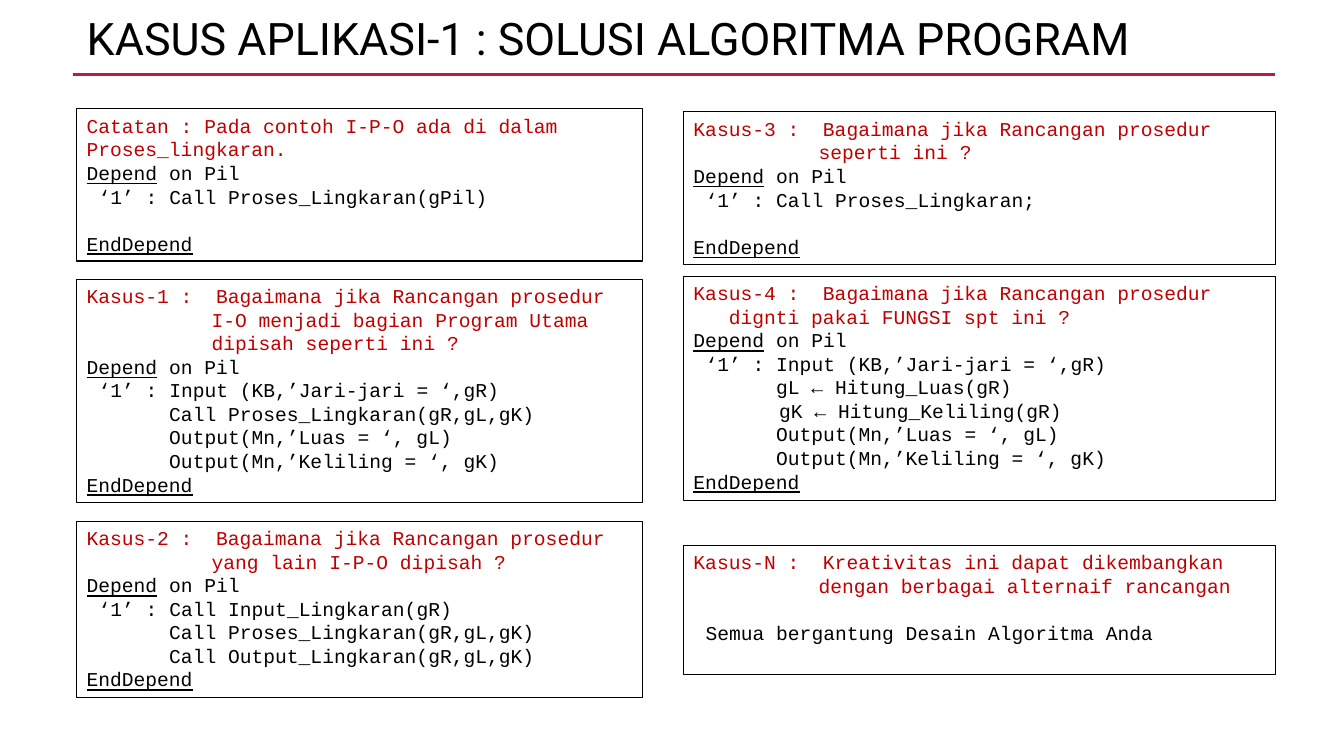
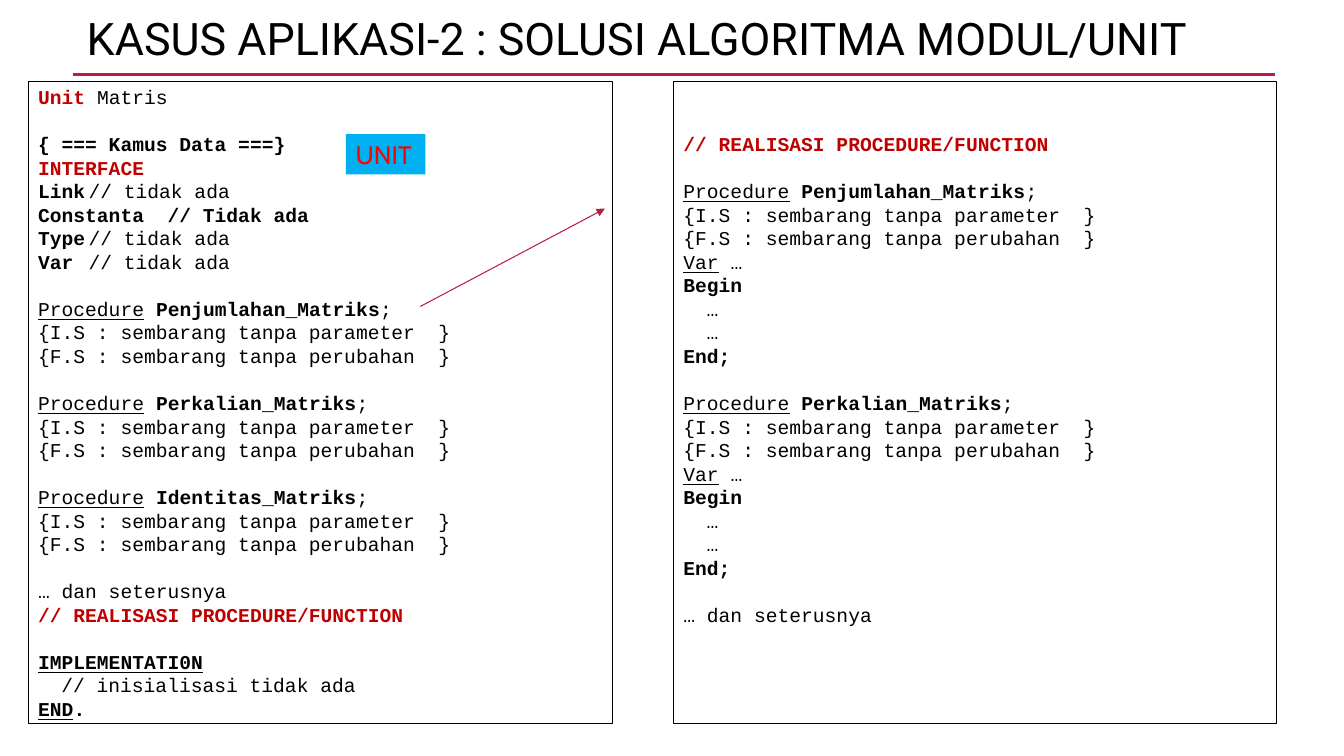
from dataclasses import dataclass
from typing import Optional

from pptx import Presentation
from pptx import util as u
from pptx.dml.color import RGBColor
from pptx.enum import shapes, text
from pptx.oxml.ns import qn
from lxml import etree

# Shared look
PX = 9144  # EMU per px, 100 px to the inch
BLACK = RGBColor(0x00, 0x00, 0x00)
WHITE = RGBColor(0xFF, 0xFF, 0xFF)
CRIMSON = RGBColor(0xB7, 0x1E, 0x42)
RED = RGBColor(0xC0, 0x00, 0x00)
BRIGHT_RED = RGBColor(0xFF, 0x00, 0x00)
SKY = RGBColor(0x00, 0xB0, 0xF0)
TITLE_FONT, CODE_FONT, LABEL_FONT = "Roboto", "Courier New", "Cabin"
CODE_SIZE = u.Pt(14)
LEADING = u.Pt(16.8)

# Code indents
CASE_MARK, BRANCH, BODY, COMMENT_TAB = 12, 82, 23, 123


@dataclass(frozen=True)
class Run:
    text: str
    style: str = ""  # b bold, u underlined, r red


@dataclass(frozen=True)
class Line:
    runs: tuple[Run, ...]
    indent: int = 0
    hang: int = 0
    tab: int = 0
    gap: int = 0  # empty line heights above


@dataclass(frozen=True)
class Box:
    left: int
    top: int
    width: int
    height: int
    lines: tuple[Line, ...]
    border: float = 0.75
    fill: Optional[RGBColor] = None
    middle: bool = False
    lift: int = 0  # line heights kept free at the bottom


def px(n: int) -> u.Emu:
    return u.Emu(n * PX)


def line(txt: str, style: str = "", **layout: int) -> Line:
    return Line((Run(txt, style),), **layout)


# Drawing
def set_font(r, name: str, size: u.Length, color: RGBColor) -> None:
    r.font.name, r.font.size = name, size
    r.font.color.rgb = color


def add_rect(s, left: int, top: int, width: int, height: int,
             fill: Optional[RGBColor], border: float):
    sp = s.shapes.add_shape(shapes.MSO_SHAPE.RECTANGLE,
                            px(left), px(top), px(width), px(height))
    sp.shadow.inherit = False
    if fill is None:
        sp.fill.background()
    else:
        sp.fill.solid()
        sp.fill.fore_color.rgb = fill
    if border:
        sp.line.color.rgb = BLACK
        sp.line.width = u.Pt(border)
    else:
        sp.line.fill.background()
    return sp


def add_line(s, x1: int, y1: int, x2: int, y2: int, width: float,
             arrow: bool = False):
    cx = s.shapes.add_connector(shapes.MSO_CONNECTOR.STRAIGHT,
                                px(x1), px(y1), px(x2), px(y2))
    cx.line.color.rgb = CRIMSON
    cx.line.width = u.Pt(width)
    if arrow:
        etree.SubElement(cx.line._get_or_add_ln(), qn("a:tailEnd"), type="triangle")
    etree.SubElement(cx.element.spPr, qn("a:effectLst"))
    return cx


def write_line(p, item: Line) -> None:
    p.alignment = text.PP_ALIGN.LEFT
    p.line_spacing = LEADING
    p.space_before = u.Emu(LEADING * item.gap)
    pPr = p._p.get_or_add_pPr()
    pPr.set("marL", str(px(item.indent + item.hang)))
    pPr.set("indent", str(px(-item.hang)))
    if item.tab:
        tabs = etree.SubElement(pPr, qn("a:tabLst"))
        etree.SubElement(tabs, qn("a:tab"), pos=str(px(item.tab)), algn="l")
    for run in item.runs:
        for i, part in enumerate(run.text.split("\n")):
            if i:
                p.add_line_break()
            r = p.add_run()
            r.text = part
            set_font(r, CODE_FONT, CODE_SIZE, RED if "r" in run.style else BLACK)
            r.font.bold = "b" in run.style
            r.font.underline = "u" in run.style


def add_box(s, box: Box) -> None:
    sp = add_rect(s, box.left, box.top, box.width, box.height, box.fill, box.border)
    tf = sp.text_frame
    tf.word_wrap = True
    tf.vertical_anchor = text.MSO_ANCHOR.TOP
    if box.middle:
        tf.vertical_anchor = text.MSO_ANCHOR.MIDDLE
        tf.margin_top = 0
        tf.margin_bottom = u.Emu(LEADING * box.lift)
    for i, item in enumerate(box.lines):
        write_line(tf.add_paragraph() if i else tf.paragraphs[0], item)


def add_slide(prs, title: str):
    s = prs.slides.add_slide(prs.slide_layouts[5])
    sp = s.shapes.title
    sp.left, sp.top, sp.width, sp.height = px(76), px(12), px(1189), px(69)
    tf = sp.text_frame
    tf.word_wrap = True
    tf.auto_size = text.MSO_AUTO_SIZE.NONE
    tf.vertical_anchor = text.MSO_ANCHOR.TOP
    p = tf.paragraphs[0]
    p.alignment = text.PP_ALIGN.LEFT
    p.line_spacing = 0.9
    r = p.add_run()
    r.text = title
    set_font(r, TITLE_FONT, u.Pt(32), BLACK)
    add_line(s, 72, 74, 1265, 74, 2.5)
    return s


# Slide 1: cases
def case(question: str, *calls: Line, hang: int = 124, gap: int = 0) -> tuple[Line, ...]:
    return (line(question, "r", hang=hang),
            Line((Run("Depend", "u"), Run(" on Pil"))),
            *calls,
            line("EndDepend", "u", gap=gap))


def first(call: str) -> Line:
    return line("‘1’ : " + call, indent=CASE_MARK)


def then(call: str, indent: int = BRANCH) -> Line:
    return line(call, indent=indent)


INPUT = first("Input (KB,’Jari-jari = ‘,gR)")
OUTPUTS = (then("Output(Mn,’Luas = ‘, gL)"), then("Output(Mn,’Keliling = ‘, gK)"))
PROSES = then("Call Proses_Lingkaran(gR,gL,gK)")
LEFT, RIGHT = (76, 561), (678, 587)  # column left and width


def case_box(column: tuple[int, int], top: int, height: int,
             lines: tuple[Line, ...], border: float = 0.75) -> Box:
    return Box(column[0], top, column[1], height, lines, border)


CASES = (
    case_box(LEFT, 108, 151, case(
        "Catatan : Pada contoh I-P-O ada di dalam Proses_lingkaran.",
        first("Call Proses_Lingkaran(gPil)"), hang=0, gap=1)),
    case_box(LEFT, 277, 222, case(
        "Kasus-1 :  Bagaimana jika Rancangan prosedur\n"
        "I-O menjadi bagian Program Utama\ndipisah seperti ini ?",
        INPUT, PROSES, *OUTPUTS)),
    case_box(LEFT, 517, 175, case(
        "Kasus-2 :  Bagaimana jika Rancangan prosedur\nyang lain I-P-O dipisah ?",
        first("Call Input_Lingkaran(gR)"), PROSES,
        then("Call Output_Lingkaran(gR,gL,gK)"))),
    case_box(RIGHT, 111, 151, case(
        "Kasus-3 :  Bagaimana jika Rancangan prosedur\nseperti ini ?",
        first("Call Proses_Lingkaran;"), gap=1)),
    case_box(RIGHT, 274, 222, case(
        "Kasus-4 :  Bagaimana jika Rancangan prosedur\ndignti pakai FUNGSI spt ini ?",
        INPUT, then("gL ← Hitung_Luas(gR)"),
        then("gK ← Hitung_Keliling(gR)", indent=85), *OUTPUTS, hang=35), 0.25),
    case_box(RIGHT, 541, 128, (
        line("Kasus-N :  Kreativitas ini dapat dikembangkan\n"
             "dengan berbagai alternaif rancangan", "r", hang=124),
        line("Semua bergantung Desain Algoritma Anda", indent=CASE_MARK, gap=1)), 0.25),
)


# Slide 2: unit
def procedure(name: str) -> tuple[Line, ...]:
    return (Line((Run("Procedure", "u"), Run(" "), Run(name, "b"), Run(";")), gap=1),
            line("{I.S : sembarang tanpa parameter  }"),
            line("{F.S : sembarang tanpa perubahan  }"))


def realisation(name: str) -> tuple[Line, ...]:
    return (*procedure(name),
            Line((Run("Var", "u"), Run(" …"))),
            line("Begin", "b"),
            *(line("…", indent=BODY),) * 2,
            line("End;", "b"))


def declaration(keyword: str) -> Line:
    return Line((Run(keyword, "b"), Run("\t// tidak ada")), tab=COMMENT_TAB)


SUM, PRODUCT, IDENTITY = "Penjumlahan_Matriks", "Perkalian_Matriks", "Identitas_Matriks"
REALISATION = line("// REALISASI PROCEDURE/FUNCTION", "br")
AND_SO_ON = line("… dan seterusnya", gap=1)

UNIT_LINES = (
    Line((Run("Unit ", "br"), Run("Matris"))),
    line("{ === Kamus Data ===}", "b", gap=1),
    line("INTERFACE", "br"),
    declaration("Link"),
    line("Constanta  // Tidak ada", "b"),
    declaration("Type"),
    declaration("Var"),
    *procedure(SUM), *procedure(PRODUCT), *procedure(IDENTITY),
    AND_SO_ON,
    REALISATION,
    line("IMPLEMENTATI0N", "bu", gap=1),
    line("// inisialisasi tidak ada", indent=BODY),
    Line((Run("END", "bu"), Run(".", "b"))),
)
REALISATION_LINES = (REALISATION, *realisation(SUM), *realisation(PRODUCT), AND_SO_ON)

UNIT_BOXES = (
    Box(668, 81, 598, 637, REALISATION_LINES, fill=WHITE, middle=True, lift=2),
    Box(28, 81, 580, 637, UNIT_LINES, fill=WHITE, middle=True),
)


def add_unit_label(s) -> None:
    sp = add_rect(s, 343, 133, 79, 40, SKY, 0)
    tf = sp.text_frame
    tf.word_wrap = False
    p = tf.paragraphs[0]
    p.alignment = text.PP_ALIGN.LEFT
    r = p.add_run()
    r.text = "UNIT"
    set_font(r, LABEL_FONT, u.Pt(18), BRIGHT_RED)


def main() -> None:
    prs = Presentation()
    prs.slide_width, prs.slide_height = px(1333), px(750)

    s = add_slide(prs, "KASUS APLIKASI-1 : SOLUSI ALGORITMA PROGRAM")
    for box in CASES:
        add_box(s, box)

    s = add_slide(prs, "KASUS APLIKASI-2 : SOLUSI ALGORITMA MODUL/UNIT")
    for box in UNIT_BOXES:
        add_box(s, box)
    add_unit_label(s)
    add_line(s, 417, 304, 600, 207, 0.75, arrow=True)

    prs.save("out.pptx")


if __name__ == "__main__":
    main()
